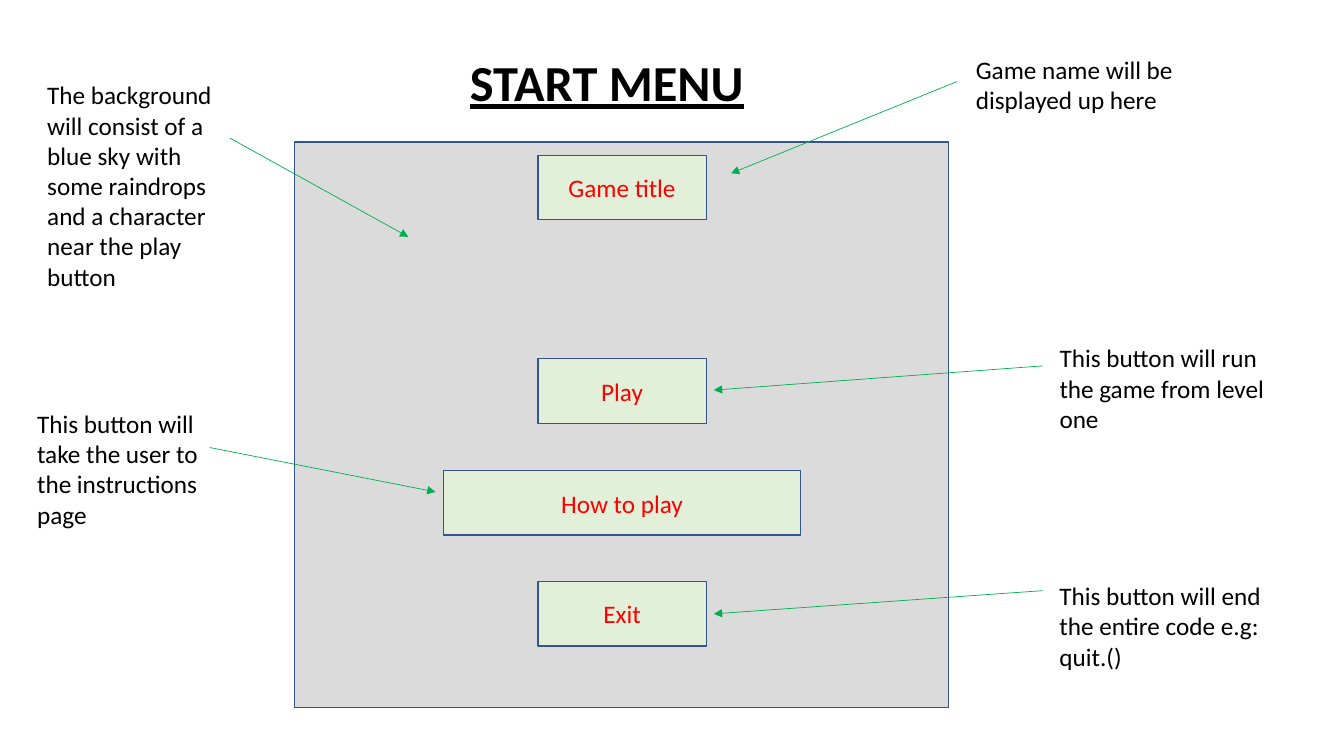
from lxml import etree
from pptx import Presentation
from pptx.dml.color import RGBColor
from pptx.enum.shapes import MSO_CONNECTOR, MSO_SHAPE
from pptx.enum.text import MSO_ANCHOR as Anchor, MSO_AUTO_SIZE as AutoSize, PP_ALIGN as Align
from pptx.oxml.ns import qn
from pptx.util import Inches, Pt

# Content, lengths in inches
TITLE = ("START MENU", (4.56, 0.46, 3.21, 0.71))
MENU_PANEL = (2.92, 1.41, 6.49, 5.61)
BUTTON_CENTER, BUTTON_HEIGHT = 6.17, 0.64
BUTTONS = [  # label, top, width
    ("Game title", 1.54, 1.67),
    ("Play", 3.56, 1.67),
    ("How to play", 4.67, 3.54),
    ("Exit", 5.77, 1.67),
]
NOTES = [  # text, box, arrow start, arrow end
    ("Game name will be displayed up here",
     (9.58, 0.49, 2.61, 0.71), (9.49, 0.81), (7.25, 1.72)),
    ("This button will run the game from level one",
     (10.41, 3.35, 2.39, 1.01), (10.34, 3.63), (7.08, 3.87)),
    ("This button will take the user to the instructions page",
     (0.27, 4, 1.96, 1.31), (2.08, 4.44), (4.32, 4.88)),
    ("This button will end the entire code e.g: quit.()",
     (10.41, 5.71, 2.24, 1.01), (10.34, 5.86), (7.08, 6.09)),
    ("The background will consist of a blue sky with some raindrops "
     "and a character near the play button",
     (0.37, 0.74, 2.03, 2.22), (2.28, 1.37), (4.05, 2.35)),
]
PANEL_FILL, BUTTON_FILL, OUTLINE = "DBDBDB", "E2F0D9", "325491"
BUTTON_TEXT, BLACK, ARROW_GREEN = "FF0000", "000000", "00B050"


def color(value):
    return RGBColor.from_string(value)


def inches(values):
    return [Inches(value) for value in values]


def write(shape, text, size=18, ink=BLACK, bold=False, underline=False,
          align=Align.LEFT, anchor=Anchor.TOP):
    frame = shape.text_frame
    frame.word_wrap = True
    frame.auto_size = AutoSize.NONE
    frame.vertical_anchor = anchor
    paragraph = frame.paragraphs[0]
    paragraph.alignment = align
    run = paragraph.add_run()
    run.text = text
    font = run.font
    font.name, font.size = "Calibri", Pt(size)
    font.bold, font.underline = bold, underline
    font.color.rgb = color(ink)


def add_box(slide, box, fill):
    shape = slide.shapes.add_shape(MSO_SHAPE.RECTANGLE, *inches(box))
    shape.shadow.inherit = False
    shape.fill.solid()
    shape.fill.fore_color.rgb = color(fill)
    shape.line.color.rgb = color(OUTLINE)
    shape.line.width = Pt(1)
    return shape


def add_arrow(slide, start, end):
    arrow = slide.shapes.add_connector(MSO_CONNECTOR.STRAIGHT, *inches(start + end))
    arrow.line.color.rgb = color(ARROW_GREEN)
    arrow.line.width = Pt(0.5)
    properties = arrow.element.spPr
    etree.SubElement(properties.find(qn("a:ln")), qn("a:tailEnd"), type="triangle")
    etree.SubElement(properties, qn("a:effectLst"))


def main():
    presentation = Presentation()
    presentation.slide_width, presentation.slide_height = Inches(13.33), Inches(7.5)
    slide = presentation.slides.add_slide(presentation.slide_layouts[5])

    # Title
    text, box = TITLE
    title = slide.shapes.title
    title.left, title.top, title.width, title.height = inches(box)
    write(title, text, size=36, bold=True, underline=True)

    # Menu screen with its centred buttons
    add_box(slide, MENU_PANEL, PANEL_FILL)
    for label, top, width in BUTTONS:
        box = (BUTTON_CENTER - width / 2, top, width, BUTTON_HEIGHT)
        write(add_box(slide, box, BUTTON_FILL), label, ink=BUTTON_TEXT,
              align=Align.CENTER, anchor=Anchor.MIDDLE)

    # Notes and their arrows
    for text, box, start, end in NOTES:
        add_arrow(slide, start, end)
        write(slide.shapes.add_textbox(*inches(box)), text)

    presentation.save("out.pptx")


if __name__ == "__main__":
    main()
